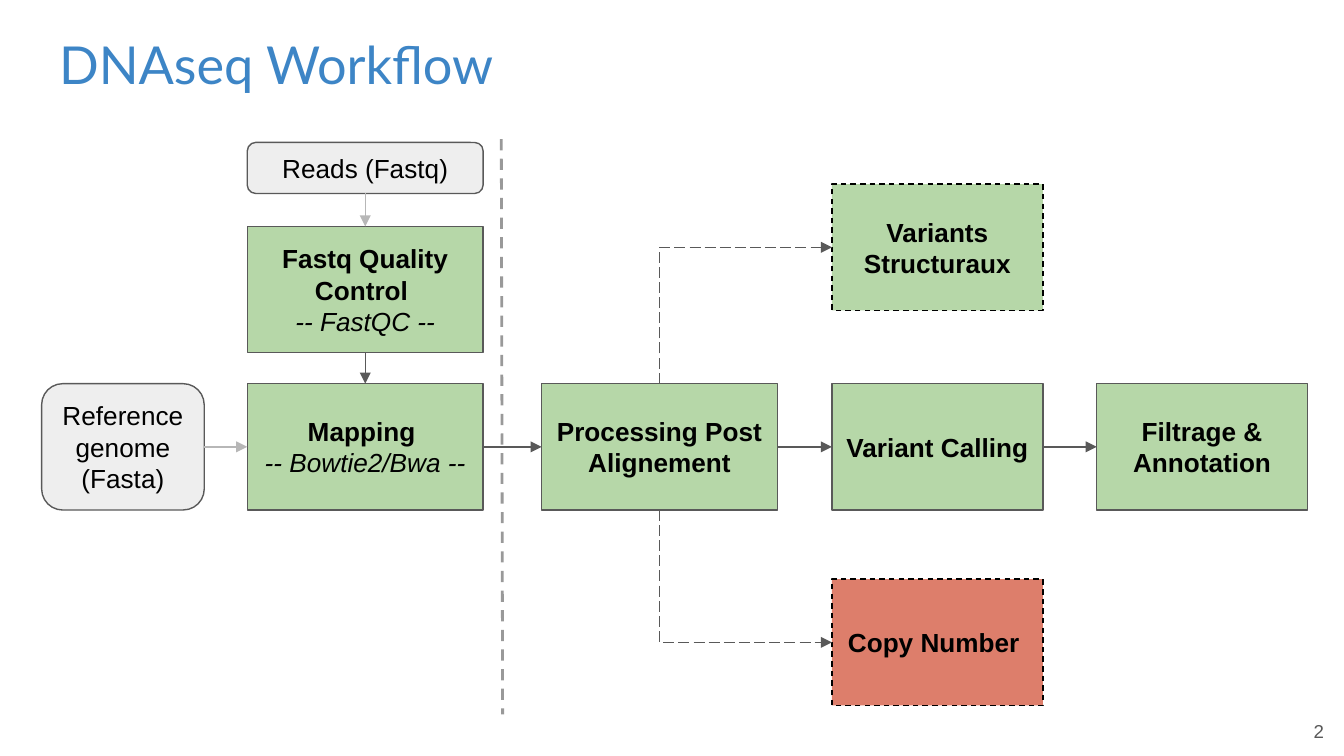
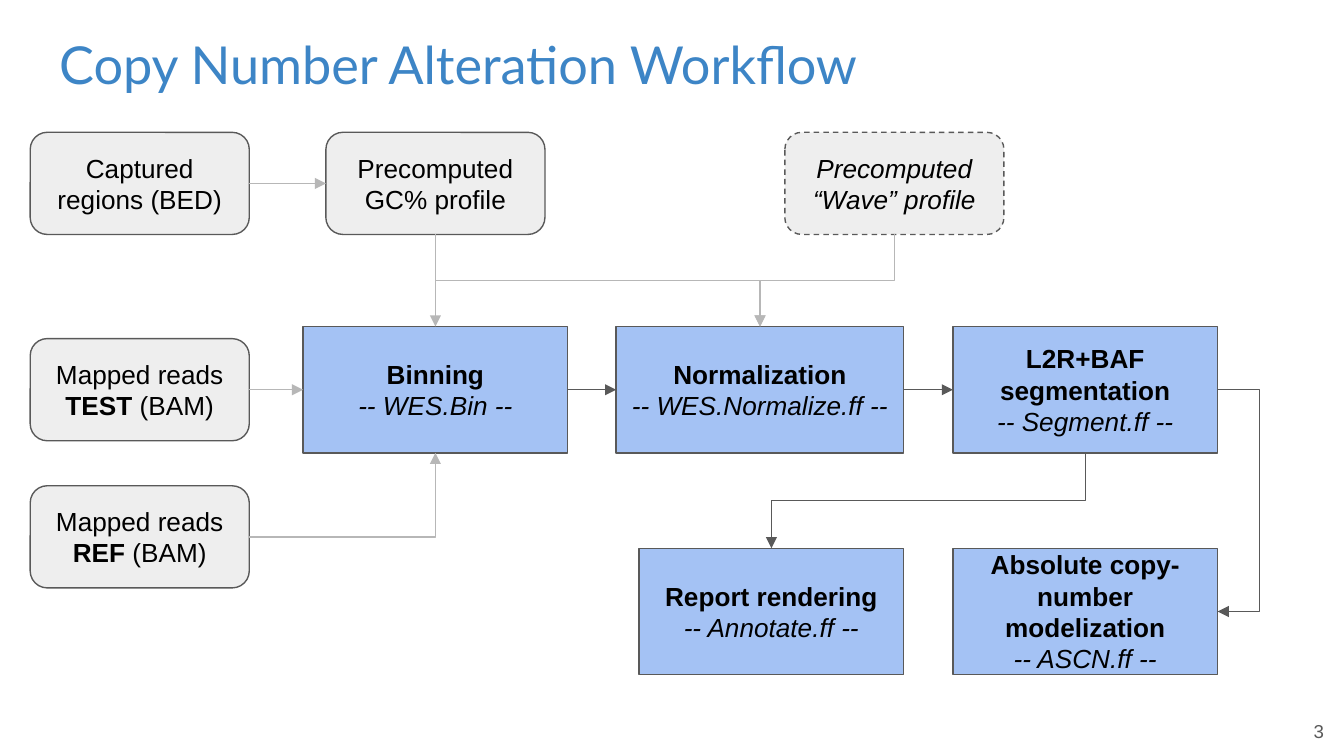
from dataclasses import dataclass

from lxml import etree
from pptx import Presentation
from pptx.dml.color import RGBColor
from pptx.enum.dml import MSO_LINE
from pptx.enum.shapes import MSO_CONNECTOR, MSO_SHAPE
from pptx.enum.text import MSO_ANCHOR, PP_ALIGN
from pptx.oxml.ns import qn
from pptx.util import Pt

RECT, ROUNDED = MSO_SHAPE.RECTANGLE, MSO_SHAPE.ROUNDED_RECTANGLE
STRAIGHT, ELBOW = MSO_CONNECTOR.STRAIGHT, MSO_CONNECTOR.ELBOW
DASH, LONG_DASH = MSO_LINE.DASH, MSO_LINE.LONG_DASH
TOP_ANCHOR, MIDDLE, BOTTOM_ANCHOR = MSO_ANCHOR.TOP, MSO_ANCHOR.MIDDLE, MSO_ANCHOR.BOTTOM
LEFT_ALIGN, CENTER, RIGHT_ALIGN = PP_ALIGN.LEFT, PP_ALIGN.CENTER, PP_ALIGN.RIGHT

# Connection sites of a rectangle
TOP, LEFT, BOTTOM, RIGHT = range(4)

# Shared look
EMU_PER_PX = 4572  # 200 px to the inch
MIN_SPAN = 600  # EMU, least width of an elbow between aligned ends
SLIDE_SIZE = (2000, 1125)
TITLE_AREA = (68, 28, 1864, 126)
NUMBER_AREA = (1870, 1036, 120, 86)
FIRST_NUMBER = 2
TITLE_ONLY_LAYOUT = 5
TITLE_FONT, BODY_FONT = "Lato", "Arial"
BLACK, DARK, SILVER, RULE_GREY = "000000", "595959", "B7B7B7", "999999"
TITLE_BLUE, INPUT_GREY = "3D85C6", "EEEEEE"
GREEN, CORAL, STEP_BLUE = "B6D7A8", "DD7E6B", "A4C2F4"
INSET = 20

# Elbow routes: rotation in degrees and horizontal flip
DOWN_RIGHT, UP_RIGHT, DOWN_LEFT = (270, True), (270, False), (90, False)
RIGHT_UP, RIGHT_DOWN = (180, True), (0, False)


@dataclass(frozen=True)
class Words:
    text: str
    bold: bool = False
    italic: bool = False


Paragraphs = tuple[tuple[Words, ...], ...]


@dataclass(frozen=True)
class Box:
    area: tuple[int, int, int, int]
    paragraphs: Paragraphs
    fill: str
    kind: int = RECT
    outline: str = DARK
    dash: int | None = None


@dataclass(frozen=True)
class Arrow:
    source: str
    source_site: int
    target: str
    target_site: int
    color: str = DARK
    dash: int | None = None
    route: tuple[int, bool] | None = None  # None is a straight arrow
    corners: int = 2
    bend: int = 50000  # place of the middle segment, in 1/100000


@dataclass(frozen=True)
class Workflow:
    title: str
    boxes: dict[str, Box]
    arrows: tuple[Arrow, ...]
    divider: tuple[int, int, int, int] | None = None


def px(length: int) -> int:
    return length * EMU_PER_PX


def rgb(color: str) -> RGBColor:
    return RGBColor.from_string(color)


def step(heading: str, tool: str = "") -> Paragraphs:
    """Bold heading lines, then the tool in italics."""
    lines = [(Words(line, bold=True),) for line in heading.split("\n")]
    if tool:
        lines.append((Words(f"-- {tool} --", italic=True),))
    return tuple(lines)


def plain(text: str, italic: bool = False) -> Paragraphs:
    return ((Words(text, italic=italic),),)


def mapped_reads(sample: str) -> Paragraphs:
    return plain("Mapped reads") + ((Words(sample, bold=True), Words(" (BAM)")),)


def place(shape, area: tuple[int, int, int, int]) -> None:
    shape.left, shape.top, shape.width, shape.height = map(px, area)


def write(shape, paragraphs: Paragraphs, size: int, color: str, align: int,
          anchor: int, font_name: str = BODY_FONT) -> None:
    frame = shape.text_frame
    frame.word_wrap = True
    frame.vertical_anchor = anchor
    frame.margin_left = frame.margin_right = px(INSET)
    frame.margin_top = frame.margin_bottom = px(INSET)
    for index, parts in enumerate(paragraphs):
        paragraph = frame.add_paragraph() if index else frame.paragraphs[0]
        paragraph.alignment = align
        font = paragraph.font
        font.name, font.size = font_name, Pt(size)
        font.color.rgb = rgb(color)
        if len(parts) == 1:
            font.bold, font.italic = parts[0].bold, parts[0].italic
        for words in parts:
            run = paragraph.add_run()
            run.text = words.text
            if len(parts) > 1:
                run.font.bold, run.font.italic = words.bold, words.italic


def style_line(line, color: str, width: float, dash: int | None) -> None:
    line.color.rgb = rgb(color)
    line.width = Pt(width)
    if dash is not None:
        line.dash_style = dash


def draw_box(slide, box: Box):
    shape = slide.shapes.add_shape(box.kind, *map(px, box.area))
    shape.shadow.inherit = False
    shape.fill.solid()
    shape.fill.fore_color.rgb = rgb(box.fill)
    style_line(shape.line, box.outline, 0.75, box.dash)
    write(shape, box.paragraphs, 14, BLACK, CENTER, MIDDLE)
    return shape


def finish_connector(connector, color: str, width: float, dash: int | None,
                     arrowhead: bool) -> None:
    style_line(connector.line, color, width, dash)
    properties = connector._element.spPr
    if arrowhead:
        etree.SubElement(properties.find(qn("a:ln")), qn("a:tailEnd"), type="triangle")
    etree.SubElement(properties, qn("a:effectLst"))


def bend_connector(connector, arrow: Arrow) -> None:
    """Turn the elbow so that it leaves and enters on the wanted sides."""
    rotation, flipped = arrow.route
    x1, y1 = connector.begin_x, connector.begin_y
    x2, y2 = connector.end_x, connector.end_y
    width, height = max(abs(x2 - x1), MIN_SPAN), abs(y2 - y1)
    center_x, center_y = min(x1, x2) + width // 2, (y1 + y2) // 2
    if rotation in (90, 270):
        width, height = height, width
    connector.left, connector.top = center_x - width // 2, center_y - height // 2
    connector.width, connector.height = width, height
    properties = connector._element.spPr
    frame = properties.find(qn("a:xfrm"))
    frame.set("rot", str(rotation * 60000))
    frame.set("flipH", str(int(flipped)))
    frame.set("flipV", "0")
    geometry = properties.find(qn("a:prstGeom"))
    geometry.set("prst", f"bentConnector{arrow.corners + 1}")
    if arrow.corners == 2:
        guides = geometry.find(qn("a:avLst"))
        etree.SubElement(guides, qn("a:gd"), name="adj1", fmla=f"val {arrow.bend}")


def draw_arrow(slide, arrow: Arrow, shapes: dict) -> None:
    kind = ELBOW if arrow.route else STRAIGHT
    connector = slide.shapes.add_connector(kind, 0, 0, 0, 0)
    connector.begin_connect(shapes[arrow.source], arrow.source_site)
    connector.end_connect(shapes[arrow.target], arrow.target_site)
    if arrow.route:
        bend_connector(connector, arrow)
    finish_connector(connector, arrow.color, 0.75, arrow.dash, arrowhead=True)


def draw_workflow(deck, workflow: Workflow, number: int) -> None:
    slide = deck.slides.add_slide(deck.slide_layouts[TITLE_ONLY_LAYOUT])
    title = slide.shapes.title
    place(title, TITLE_AREA)
    write(title, plain(workflow.title), 28, TITLE_BLUE, LEFT_ALIGN, TOP_ANCHOR, TITLE_FONT)
    shapes = {key: draw_box(slide, box) for key, box in workflow.boxes.items()}
    for arrow in workflow.arrows:
        draw_arrow(slide, arrow, shapes)
    if workflow.divider:
        divider = slide.shapes.add_connector(STRAIGHT, *map(px, workflow.divider))
        finish_connector(divider, RULE_GREY, 1.5, DASH, arrowhead=False)
    page_number = slide.shapes.add_textbox(*map(px, NUMBER_AREA))
    write(page_number, plain(str(number)), 10, DARK, RIGHT_ALIGN, BOTTOM_ANCHOR)


# Slide content: DNA sequencing
MAIN_ROW, STEP_HEIGHT = 571, 188
PREPARE_X, VARIANT_X = 368, 1238
PREPARE_W, VARIANT_W = 351, 314

DNASEQ = Workflow(
    "DNAseq Workflow",
    {
        "quality": Box((PREPARE_X, 337, PREPARE_W, STEP_HEIGHT),
                       step("Fastq Quality Control ", "FastQC"), GREEN),
        "mapping": Box((PREPARE_X, MAIN_ROW, PREPARE_W, STEP_HEIGHT),
                       step("Mapping ", "Bowtie2/Bwa"), GREEN),
        "reads": Box((PREPARE_X, 212, PREPARE_W, 76), plain("Reads (Fastq)"),
                     INPUT_GREY, ROUNDED),
        "reference": Box((62, MAIN_ROW, 242, STEP_HEIGHT),
                         plain("Reference genome (Fasta)"), INPUT_GREY, ROUNDED),
        "processing": Box((806, MAIN_ROW, PREPARE_W, STEP_HEIGHT),
                          step("Processing Post Alignement"), GREEN),
        "calling": Box((VARIANT_X, MAIN_ROW, VARIANT_W, STEP_HEIGHT),
                       step("Variant Calling"), GREEN),
        "annotation": Box((1632, MAIN_ROW, VARIANT_W, STEP_HEIGHT),
                          step("Filtrage & Annotation"), GREEN),
        "structural": Box((VARIANT_X, 274, VARIANT_W, STEP_HEIGHT),
                          step("Variants Structuraux"), GREEN, outline=BLACK, dash=DASH),
        "copy_number": Box((VARIANT_X, 862, VARIANT_W, STEP_HEIGHT),
                           step("Copy Number "), CORAL, outline=BLACK, dash=DASH),
    },
    (
        Arrow("processing", BOTTOM, "copy_number", LEFT, DARK, LONG_DASH, DOWN_RIGHT, 1),
        Arrow("processing", TOP, "structural", LEFT, DARK, LONG_DASH, UP_RIGHT, 1),
        Arrow("processing", RIGHT, "calling", LEFT),
        Arrow("calling", RIGHT, "annotation", LEFT),
        Arrow("mapping", RIGHT, "processing", LEFT),
        Arrow("quality", BOTTOM, "mapping", TOP),
        Arrow("reads", BOTTOM, "quality", TOP, SILVER),
        Arrow("reference", RIGHT, "mapping", LEFT, SILVER),
    ),
    divider=(746, 207, 748, 1063),
)

# Slide content: copy number alteration
INPUT_X, INPUT_W, INPUT_H = 45, 326, 152
PROFILE_ROW, STEP_ROW, RESULT_ROW = 197, 486, 816
SEGMENT_X, STEP_W = 1418, 394

COPY_NUMBER = Workflow(
    "Copy Number Alteration Workflow",
    {
        "test": Box((INPUT_X, 504, INPUT_W, INPUT_H), mapped_reads("TEST"),
                    INPUT_GREY, ROUNDED),
        "ref": Box((INPUT_X, 723, INPUT_W, INPUT_H), mapped_reads("REF"),
                   INPUT_GREY, ROUNDED),
        "regions": Box((INPUT_X, PROFILE_ROW, INPUT_W, INPUT_H),
                       plain("Captured regions (BED)"), INPUT_GREY, ROUNDED),
        "gc": Box((485, PROFILE_ROW, INPUT_W, INPUT_H),
                  plain("Precomputed GC% profile"), INPUT_GREY, ROUNDED),
        "wave": Box((1168, PROFILE_ROW, INPUT_W, INPUT_H),
                    plain("Precomputed “Wave” profile", italic=True),
                    INPUT_GREY, ROUNDED, dash=DASH),
        "binning": Box((451, STEP_ROW, STEP_W, STEP_HEIGHT),
                       step("Binning", "WES.Bin"), STEP_BLUE),
        "normalization": Box((917, STEP_ROW, 428, STEP_HEIGHT),
                             step("Normalization", "WES.Normalize.ff"), STEP_BLUE),
        "segmentation": Box((SEGMENT_X, STEP_ROW, STEP_W, STEP_HEIGHT),
                            step("L2R+BAF\nsegmentation", "Segment.ff"), STEP_BLUE),
        "report": Box((951, RESULT_ROW, STEP_W, STEP_HEIGHT),
                      step("Report rendering", "Annotate.ff"), STEP_BLUE),
        "absolute": Box((SEGMENT_X, RESULT_ROW, STEP_W, STEP_HEIGHT),
                        step("Absolute copy-number modelization", "ASCN.ff"), STEP_BLUE),
    },
    (
        Arrow("binning", RIGHT, "normalization", LEFT),
        Arrow("test", RIGHT, "binning", LEFT, SILVER),
        Arrow("ref", RIGHT, "binning", BOTTOM, SILVER, route=RIGHT_UP, corners=1),
        Arrow("regions", RIGHT, "gc", LEFT, SILVER),
        Arrow("gc", BOTTOM, "normalization", TOP, SILVER, route=DOWN_RIGHT),
        Arrow("normalization", RIGHT, "segmentation", LEFT),
        Arrow("segmentation", RIGHT, "absolute", RIGHT, route=RIGHT_DOWN, bend=39687500),
        Arrow("segmentation", BOTTOM, "report", TOP, route=DOWN_LEFT),
        Arrow("wave", BOTTOM, "normalization", TOP, SILVER, route=DOWN_LEFT),
        Arrow("gc", BOTTOM, "binning", TOP, SILVER),
    ),
)


def main() -> None:
    deck = Presentation()
    deck.slide_width, deck.slide_height = map(px, SLIDE_SIZE)
    for number, workflow in enumerate((DNASEQ, COPY_NUMBER), start=FIRST_NUMBER):
        draw_workflow(deck, workflow, number)
    deck.save("out.pptx")


if __name__ == "__main__":
    main()
